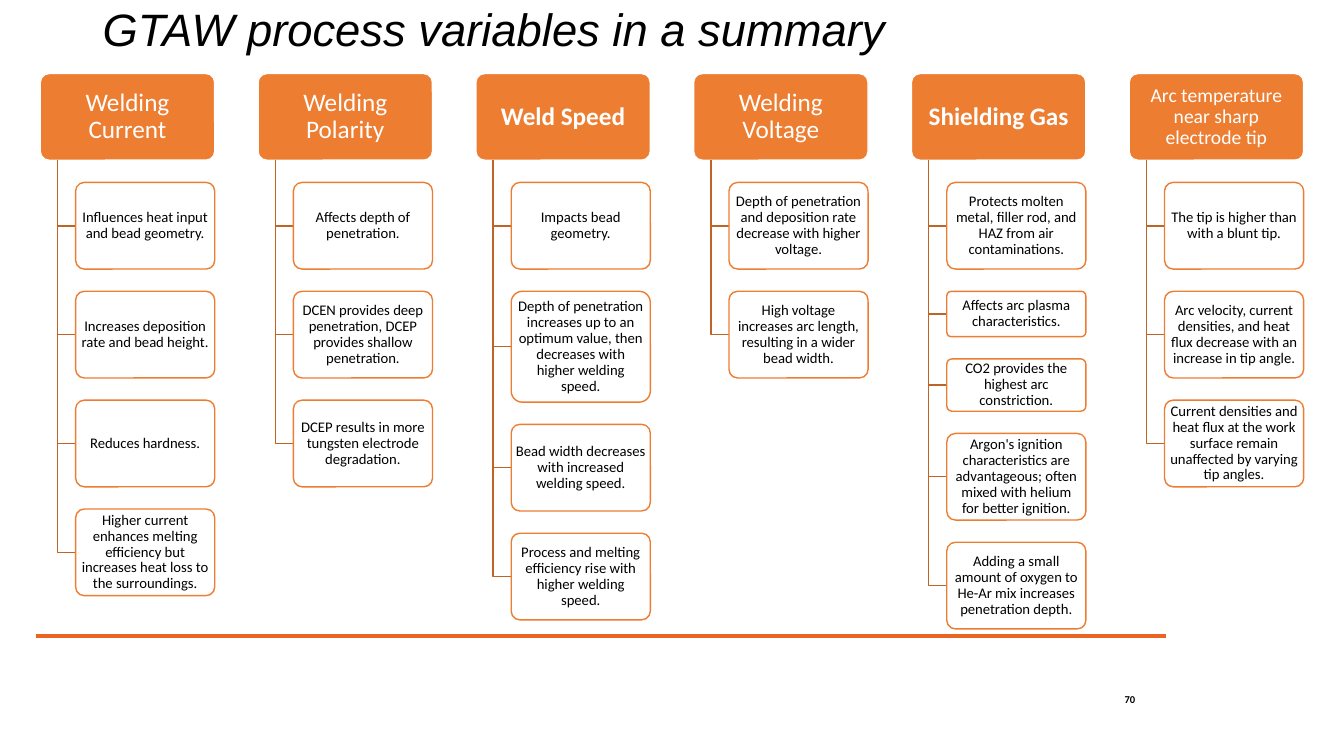
"""Build a slide summarising the GTAW process variables as six branching lists."""
import pptx
import pptx.dml.color
import pptx.enum.shapes
import pptx.enum.text
import pptx.oxml
import pptx.oxml.ns
import pptx.util

Inches = pptx.util.Inches
RGBColor = pptx.dml.color.RGBColor
ALIGN = pptx.enum.text.PP_ALIGN
ROUNDED = pptx.enum.shapes.MSO_SHAPE.ROUNDED_RECTANGLE

ORANGE = RGBColor(0xED, 0x7D, 0x31)
RULE_ORANGE = RGBColor(0xEC, 0x64, 0x22)
BRANCH_BROWN = RGBColor(0xBE, 0x64, 0x27)
WHITE = RGBColor(0xFF, 0xFF, 0xFF)
BLACK = RGBColor(0x00, 0x00, 0x00)

LEFT, TOP, PITCH = 0.4, 0.73, 2.16
HEADER_WIDTH, ITEM_WIDTH = 1.73, 1.38
BOX_HEIGHT, GAP = 0.86, 0.22
BRANCH_INDENT, ITEM_INDENT = 0.17, 0.35

COLUMNS = [
    ("Welding Current", 18, False, [
        ("Influences heat input and bead geometry.", BOX_HEIGHT),
        ("Increases deposition rate and bead height.", BOX_HEIGHT),
        ("Reduces hardness.", BOX_HEIGHT),
        ("Higher current enhances melting efficiency but increases heat loss "
         "to the surroundings.", BOX_HEIGHT),
    ]),
    ("Welding Polarity", 18, False, [
        ("Affects depth of penetration.", BOX_HEIGHT),
        ("DCEN provides deep penetration, DCEP provides shallow penetration.", BOX_HEIGHT),
        ("DCEP results in more tungsten electrode degradation.", BOX_HEIGHT),
    ]),
    ("Weld Speed", 18, True, [
        ("Impacts bead geometry.", BOX_HEIGHT),
        ("Depth of penetration increases up to an optimum value, then decreases "
         "with higher welding speed.", 1.1),
        ("Bead width decreases with increased welding speed.", BOX_HEIGHT),
        ("Process and melting efficiency rise with higher welding speed.", BOX_HEIGHT),
    ]),
    ("Welding Voltage", 18, False, [
        ("Depth of penetration and deposition rate decrease with higher voltage.", BOX_HEIGHT),
        ("High voltage increases arc length, resulting in a wider bead width.", BOX_HEIGHT),
    ]),
    ("Shielding Gas", 18, True, [
        ("Protects molten metal, filler rod, and HAZ from air contaminations.", BOX_HEIGHT),
        ("Affects arc plasma characteristics.", 0.45),
        ("CO2 provides the highest arc constriction.", 0.52),
        ("Argon's ignition characteristics are advantageous; often mixed with "
         "helium for better ignition.", BOX_HEIGHT),
        ("Adding a small amount of oxygen to He-Ar mix increases penetration depth.", BOX_HEIGHT),
    ]),
    ("Arc temperature near sharp electrode tip", 14, False, [
        ("The tip is higher than with a blunt tip.", BOX_HEIGHT),
        ("Arc velocity, current densities, and heat flux decrease with an "
         "increase in tip angle.", BOX_HEIGHT),
        ("Current densities and heat flux at the work surface remain unaffected "
         "by varying tip angles.", BOX_HEIGHT),
    ]),
]


def write_text(shape, text, color, alignment, margins, font_format):
    """Fill a shape with one formatted paragraph, centred vertically."""
    frame = shape.text_frame
    side, end = Inches(margins[0]), Inches(margins[1])
    frame_format = {
        "word_wrap": True,
        "vertical_anchor": pptx.enum.text.MSO_ANCHOR.MIDDLE,
        "margin_left": side, "margin_right": side,
        "margin_top": end, "margin_bottom": end,
    }
    for name, value in frame_format.items():
        setattr(frame, name, value)
    paragraph = frame.paragraphs[0]
    paragraph.text = text
    paragraph.alignment = alignment
    paragraph.line_spacing = 0.9
    for name, value in font_format.items():
        setattr(paragraph.font, name, value)
    paragraph.font.color.rgb = color


def add_box(shapes, left, top, width, height, fill, line):
    """Add a rounded box with a one-point outline."""
    box = shapes.add_shape(ROUNDED, Inches(left), Inches(top), Inches(width), Inches(height))
    box.adjustments[0] = 0.1
    box.shadow.inherit = False
    box.fill.solid()
    box.fill.fore_color.rgb = fill
    box.line.color.rgb = line
    box.line.width = pptx.util.Pt(1)
    return box


presentation = pptx.Presentation()
presentation.slide_width = Inches(13.33)
presentation.slide_height = Inches(7.5)
slide = presentation.slides.add_slide(presentation.slide_layouts[6])

rule = slide.shapes.add_connector(
    pptx.enum.shapes.MSO_CONNECTOR.STRAIGHT,
    Inches(0.36), Inches(6.31), Inches(11.56), Inches(6.31))
rule.line.color.rgb = RULE_ORANGE
rule.line.width = pptx.util.Pt(2.25)
rule_properties = rule._element.spPr
rule_properties.append(pptx.oxml.parse_xml(
    f"<a:effectLst {pptx.oxml.ns.nsdecls('a')}/>"))

page_number = slide.shapes.add_textbox(Inches(10.72), Inches(6.83), Inches(0.54), Inches(0.24))
write_text(page_number, "70", BLACK, ALIGN.RIGHT, (0, 0),
           {"name": "Calibri", "size": pptx.util.Pt(7.5), "bold": True})

title = slide.shapes.add_textbox(Inches(0.92), Inches(0), Inches(11.5), Inches(0.63))
write_text(title, "GTAW process variables in a summary", BLACK, ALIGN.LEFT, (0.1, 0.05),
           {"name": "Arial", "size": pptx.util.Pt(32.4), "italic": True})

diagram = slide.shapes.add_group_shape().shapes
for index, (heading, heading_size, bold, items) in enumerate(COLUMNS):
    left = LEFT + index * PITCH
    header = add_box(diagram, left, TOP, HEADER_WIDTH, BOX_HEIGHT, ORANGE, WHITE)
    write_text(header, heading, WHITE, ALIGN.CENTER, (0.04, 0.03),
               {"name": "Calibri", "size": pptx.util.Pt(heading_size), "bold": bold})

    branch_left, item_left = left + BRANCH_INDENT, left + ITEM_INDENT
    header_bottom = TOP + BOX_HEIGHT
    item_top = header_bottom + GAP
    for text, height in items:
        middle = item_top + height / 2
        builder = diagram.build_freeform(Inches(branch_left), Inches(header_bottom))
        builder.add_line_segments(
            [(Inches(branch_left), Inches(middle)), (Inches(item_left), Inches(middle))],
            close=False)
        branch = builder.convert_to_shape()
        branch.shadow.inherit = False
        branch.fill.background()
        branch.line.color.rgb = BRANCH_BROWN
        branch.line.width = pptx.util.Pt(1)

        item = add_box(diagram, item_left, item_top, ITEM_WIDTH, height, WHITE, ORANGE)
        fill_color = item._element.spPr.find(
            f"{pptx.oxml.ns.qn('a:solidFill')}/{pptx.oxml.ns.qn('a:srgbClr')}")
        fill_color.append(pptx.oxml.parse_xml(
            f"<a:alpha {pptx.oxml.ns.nsdecls('a')} val='90000'/>"))
        write_text(item, text, BLACK, ALIGN.CENTER, (0.02, 0.02),
                   {"name": "Calibri", "size": pptx.util.Pt(10.5)})
        item_top += height + GAP

presentation.save("out.pptx")
